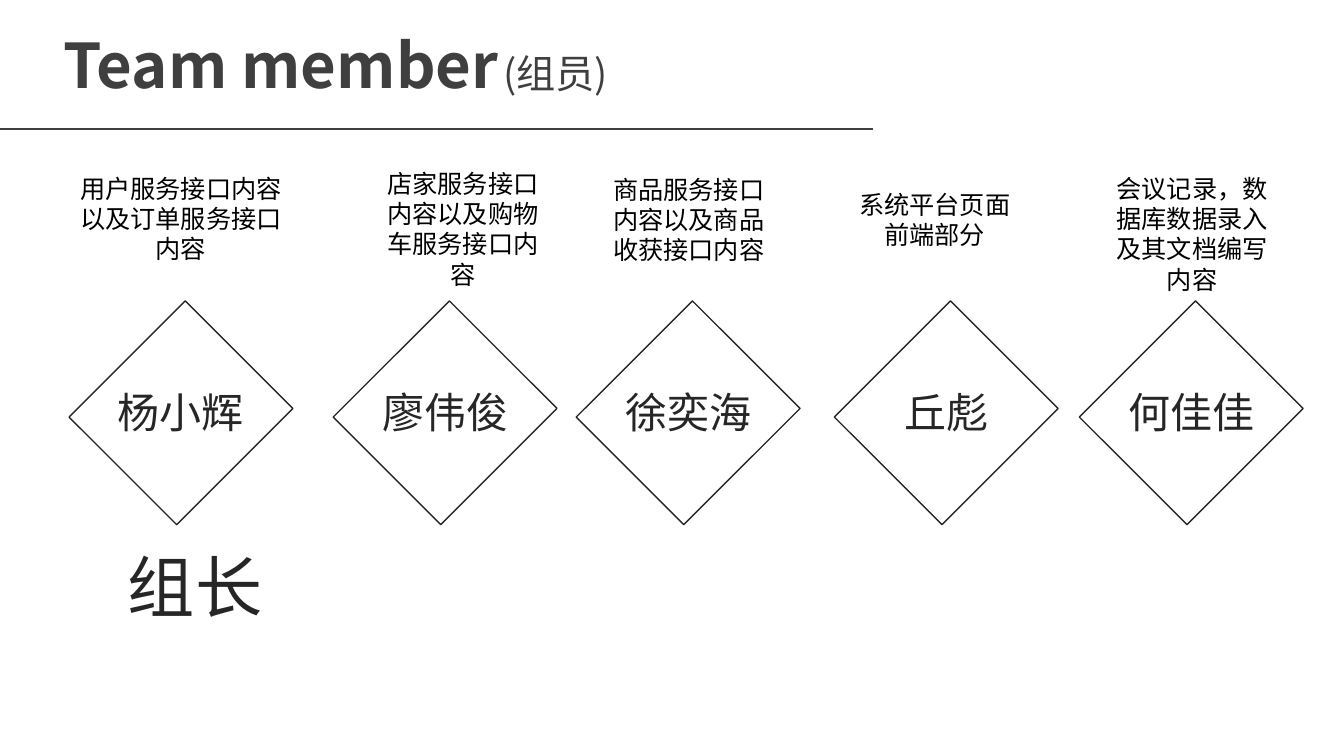
"""Build the team member slide with five diamonds and their duties."""
import pptx
import pptx.util
from lxml import etree
from pptx.dml.color import RGBColor
from pptx.enum.shapes import MSO_CONNECTOR, MSO_SHAPE
from pptx.enum.text import MSO_ANCHOR, PP_ALIGN
from pptx.oxml.ns import qn

PX = 9144
GREY = RGBColor(0x3F, 0x3F, 0x3F)
DARK = RGBColor(0x26, 0x26, 0x26)
BLACK = RGBColor(0, 0, 0)
NOTO = "Noto Sans CJK SC"

MEMBERS = [
    (98, "杨小辉", "用户服务接口内容以及订单服务接口内容", (68, 167, 223, 101)),
    (360, "廖伟俊", "店家服务接口内容以及购物车服务接口内容", (365, 162, 188, 131)),
    (601, "徐奕海", "商品服务接口内容以及商品收获接口内容", (597, 168, 172, 101)),
    (857, "丘彪", "系统平台页面前端部分", (841, 183, 172, 71)),
    (1100, "何佳佳", "会议记录，数据库数据录入及其文档编写内容", (1091, 167, 183, 131)),
]


def add_run(p, text, size, color, font=NOTO, bold=False):
    r = p.add_run()
    r.text = text
    r.font.size = pptx.util.Pt(size)
    r.font.bold = bold
    r.font.color.rgb = color
    r.font.name = font
    ea = etree.SubElement(r.font._element, qn("a:ea"))
    ea.set("typeface", NOTO)


def add_text(box, align=PP_ALIGN.CENTER):
    tb = s.shapes.add_textbox(*(v * PX for v in box))
    tb.text_frame.word_wrap = True
    p = tb.text_frame.paragraphs[0]
    p.alignment = align
    return tb.text_frame, p


prs = pptx.Presentation()
prs.slide_width = 1333 * PX
prs.slide_height = 750 * PX
s = prs.slides.add_slide(prs.slide_layouts[6])

rule = s.shapes.add_connector(MSO_CONNECTOR.STRAIGHT, 0, 128 * PX, 866 * PX, 128 * PX)
rule.line.color.rgb = GREY
rule.line.width = pptx.util.Pt(1.25)
etree.SubElement(rule._element.spPr, qn("a:effectLst"))

tf, p = add_text((53, 32, 1071, 71), PP_ALIGN.LEFT)
tf.vertical_anchor = MSO_ANCHOR.MIDDLE
p.line_spacing = 0.9
add_run(p, "Team member", 44, GREY, bold=True)
add_run(p, " ", 14, GREY, bold=True)
add_run(p, "(组员)", 28, GREY)

for left, name, duty, duty_box in MEMBERS:
    sp = s.shapes.add_shape(MSO_SHAPE.RECTANGLE, left * PX, 334 * PX, 163 * PX, 151 * PX)
    sp.rotation = 315
    sp.shadow.inherit = False
    sp.fill.background()
    sp.line.color.rgb = DARK
    sp.line.width = pptx.util.Pt(1)
    tf, p = add_text((left + 8, 379, 147, 60))
    add_run(p, name, 30, DARK)
    tf, p = add_text(duty_box)
    add_run(p, duty, 18, BLACK, "Arial")

tf, p = add_text((96, 536, 195, 91))
add_run(p, "组长", 48, DARK)

prs.save("out.pptx")
